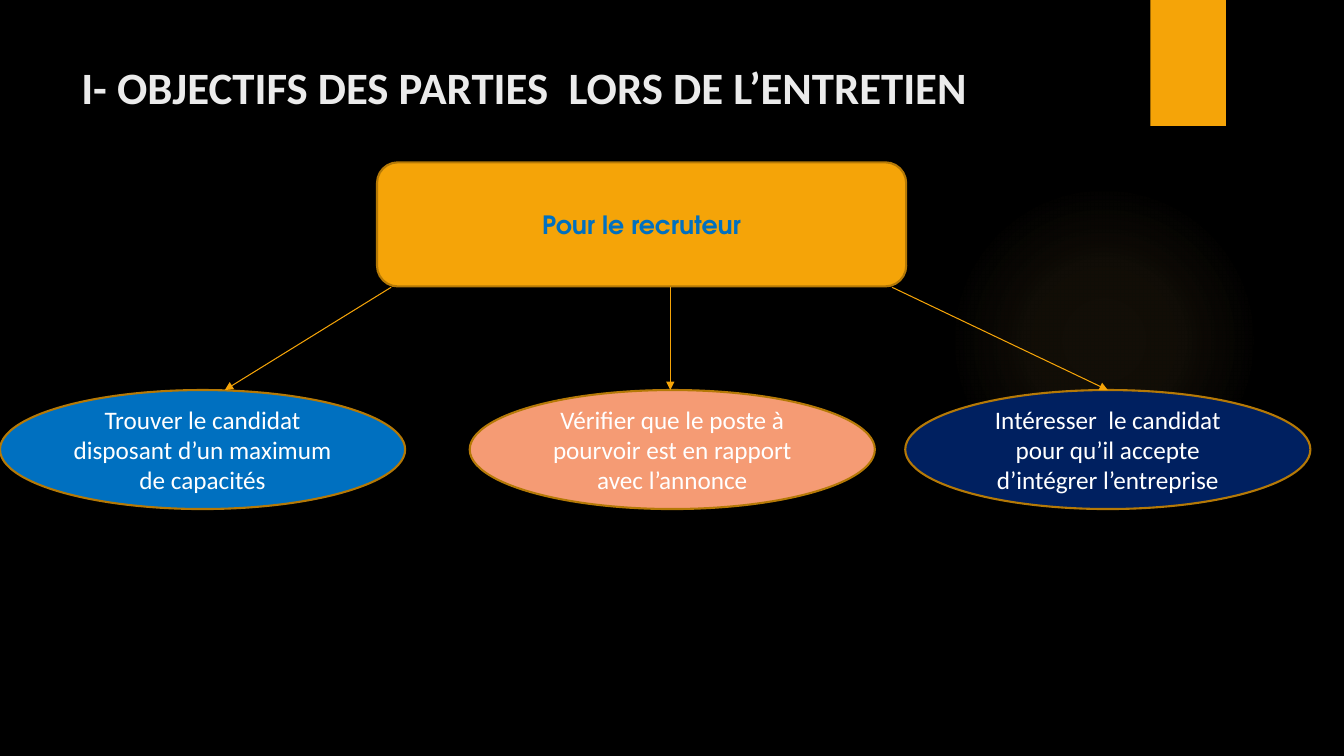
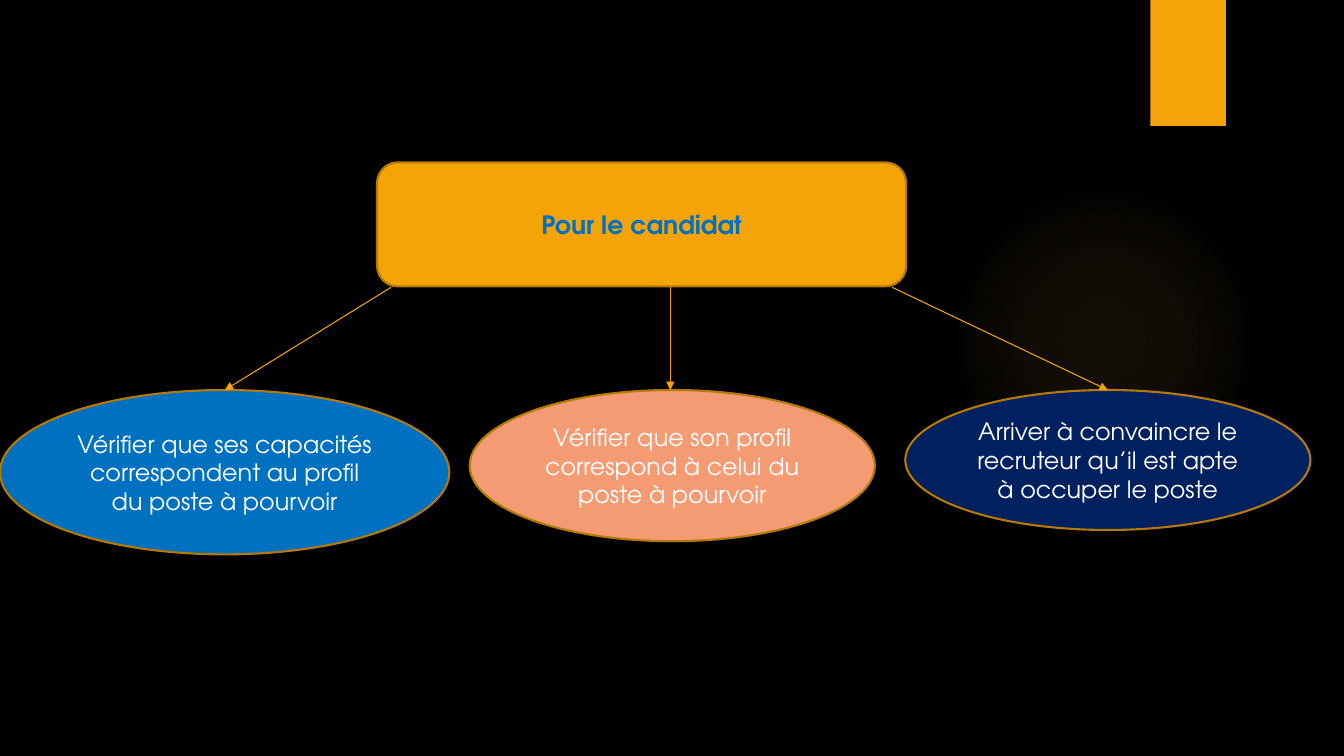
from pptx import Presentation
from pptx.util import Pt
from pptx.dml.color import RGBColor
from pptx.enum.shapes import MSO_SHAPE, MSO_CONNECTOR
from pptx.enum.text import PP_ALIGN, MSO_ANCHOR
from pptx.oxml import parse_xml
from pptx.oxml.ns import nsdecls, qn
from lxml.etree import SubElement

HUES = {
    "ground": "000000", "gold": "F5A408", "edge": "B57906", "glow": "FAC96A",
    "title": "EBEBEB", "white": "FFFFFF", "blue": "0070C0",
    "peach": "F59B74", "navy": "002060",
}
SANS, ROUND = "Calibri", "TeX Gyre Adventor"


def hue(name):
    return RGBColor.from_string(HUES[name])


def write(shape, text, size=18, font=SANS, color="white", bold=False,
          align=PP_ALIGN.CENTER):
    frame = shape.text_frame
    frame.word_wrap = True
    frame.vertical_anchor = MSO_ANCHOR.MIDDLE
    para = frame.paragraphs[0]
    para.alignment = align
    run = para.add_run()
    run.text = text
    run.font.size, run.font.name, run.font.bold = Pt(size), font, bold
    run.font.color.rgb = hue(color)


def draw(slide, kind, box, fill, edge=None):
    shape = slide.shapes.add_shape(kind, *map(Pt, box))
    shape.shadow.inherit = False
    shape.fill.solid()
    shape.fill.fore_color.rgb = hue(fill)
    if edge:
        shape.line.color.rgb = hue(edge)
        shape.line.width = Pt(1.5)
    else:
        shape.line.fill.background()
    return shape


def arrow(slide, start, end):
    line = slide.shapes.add_connector(
        MSO_CONNECTOR.STRAIGHT, *map(Pt, (*start, *end)))
    line.line.color.rgb = hue("gold")
    line.line.width = Pt(0.75)
    SubElement(line.line._get_or_add_ln(), qn("a:tailEnd"), type="triangle")
    SubElement(line._element.spPr, qn("a:effectLst"))


def halo(slide, box):
    # Soft light that fades out from the centre
    shape = draw(slide, MSO_SHAPE.OVAL, box, "glow")
    stops = "".join(
        f'<a:gs pos="{pos * 1000}"><a:srgbClr val="{HUES["glow"]}">'
        f'<a:alpha val="{alpha * 1000}"/></a:srgbClr></a:gs>'
        for pos, alpha in ((0, 7), (36, 6), (69, 0), (100, 0)))
    grad = parse_xml(
        f'<a:gradFill {nsdecls("a")} rotWithShape="1"><a:gsLst>{stops}</a:gsLst>'
        '<a:path path="circle"><a:fillToRect l="50000" t="50000" r="50000" '
        'b="50000"/></a:path></a:gradFill>')
    props = shape._element.spPr
    props.replace(props.find(qn("a:solidFill")), grad)


def title(slide, box, text):
    write(slide.shapes.add_textbox(*map(Pt, box)), text, size=32,
          color="title", bold=True, align=PP_ALIGN.LEFT)


def tree(slide, box, head, goals, **style):
    left, top, width, height = box
    # Heading
    bar = draw(slide, MSO_SHAPE.ROUNDED_RECTANGLE,
               (left + 269.3, top, 378, 88.6), "gold", "edge")
    write(bar, head, font=ROUND, color="blue", bold=True)
    # Goals, hung from one line
    row = top + height
    slots = zip((0, 335.5, 646.6), ("blue", "peach", "navy"), goals)
    for shift, fill, (text, wide, high) in slots:
        oval = draw(slide, MSO_SHAPE.OVAL, (left + shift, row, wide, high),
                    fill, "edge")
        write(oval, text, **style)
    # Arrows
    for start, end in ((279.4, 160.6), (478.8, 478.8), (637.2, 791.3)):
        arrow(slide, (left + start, top + 89.2), (left + end, row))


def page(deck):
    slide = deck.slides.add_slide(deck.slide_layouts[6])
    halo(slide, (677.5, 131.8, 221.8, 221.8))
    draw(slide, MSO_SHAPE.RECTANGLE, (821.7, 0, 54, 90), "gold")
    return slide


deck = Presentation()
deck.slide_width, deck.slide_height = Pt(960), Pt(540)
ground = deck.slide_master.background.fill
ground.solid()
ground.fore_color.rgb = hue("ground")
AREA = (0, 116, 936, 162.6)

# Recruiter
slide = page(deck)
title(slide, (51, 36, 741, 52), "I- OBJECTIFS DES PARTIES  LORS DE L’ENTRETIEN")
tree(slide, AREA, "Pour le recruteur", [
    ("Trouver le candidat disposant d’un maximum de capacités", 289.4, 85),
    ("Vérifier que le poste à pourvoir est en rapport avec l’annonce", 289.4, 85),
    ("Intéresser  le candidat pour qu’il accepte d’intégrer l’entreprise",
     289.4, 85),
])

# Candidate
slide = page(deck)
tree(slide, AREA, "Pour le candidat", [
    ("Vérifier que ses capacités correspondent au profil du poste à pourvoir",
     321, 117.4),
    ("Vérifier que son profil correspond à celui du poste à pourvoir",
     289.4, 108),
    ("Arriver à convaincre le recruteur qu’il est apte à occuper le poste",
     289.4, 100),
], size=17, font=ROUND)

deck.save("out.pptx")
